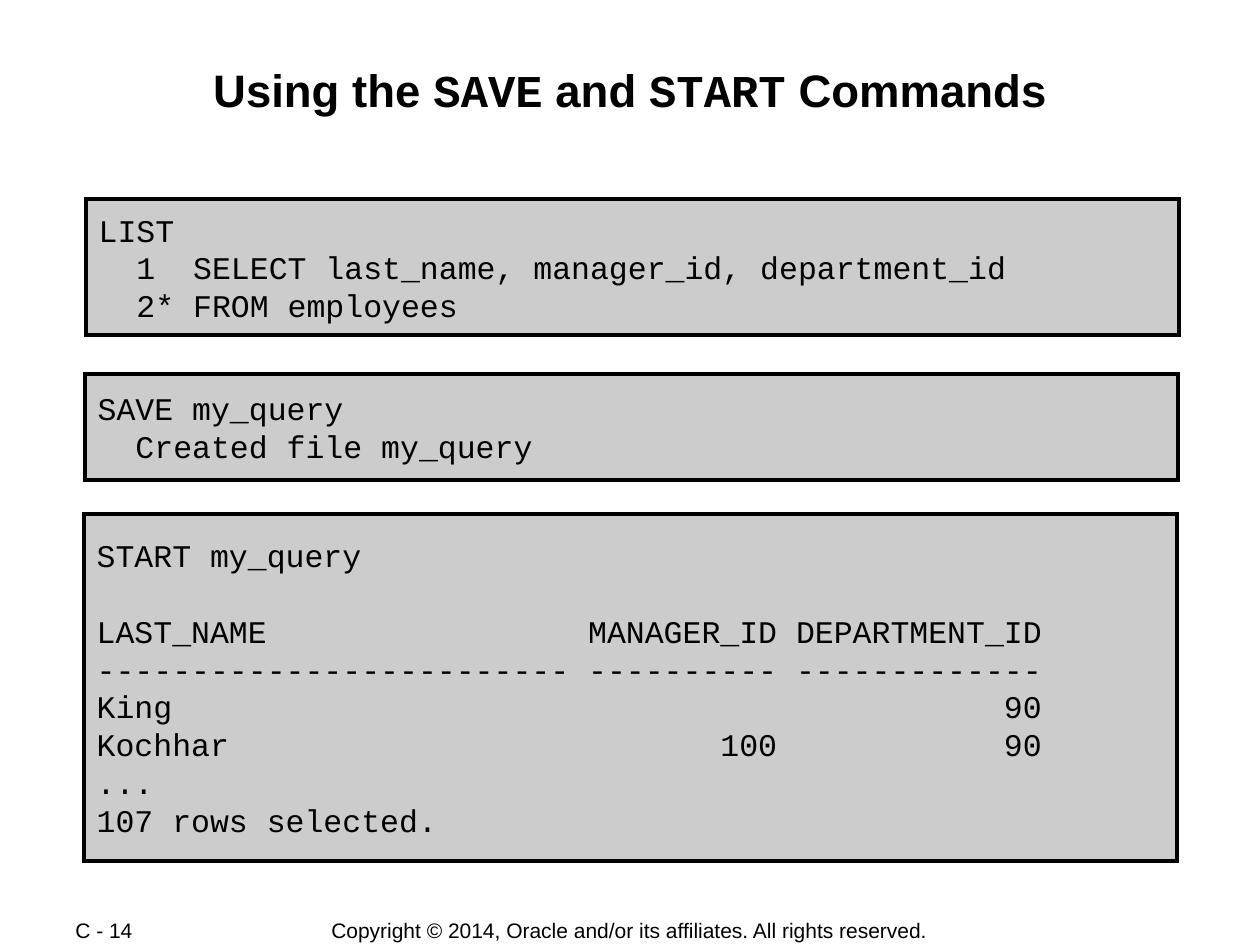
from lxml import etree
from pptx import Presentation
from pptx.dml.color import RGBColor
from pptx.enum.shapes import MSO_SHAPE
from pptx.enum.text import MSO_ANCHOR, PP_ALIGN
from pptx.oxml.ns import qn
from pptx.util import Cm, Pt

RECTANGLE = MSO_SHAPE.RECTANGLE
TOP, MIDDLE = MSO_ANCHOR.TOP, MSO_ANCHOR.MIDDLE
LEFT, CENTER = PP_ALIGN.LEFT, PP_ALIGN.CENTER
COLORS = {"text": "000000", "border": "000000", "panel": "CCCCCC"}
SANS, MONO = "Arial", "Courier New"


def add_run(paragraph, text, font_name, size, bold=False):
    run = paragraph.add_run()
    run.text = text
    run.font.name = font_name
    run.font.size = Pt(size)
    run.font.bold = bold
    run.font.color.rgb = RGBColor.from_string(COLORS["text"])


def set_frame(shape, anchor, side, top, bottom, wrap=True):
    """Set anchor, insets in centimetres and wrapping; return the text frame."""
    frame = shape.text_frame
    frame.word_wrap = wrap
    frame.vertical_anchor = anchor
    frame.margin_left = frame.margin_right = Cm(side)
    frame.margin_top, frame.margin_bottom = Cm(top), Cm(bottom)
    return frame


presentation = Presentation()
presentation.slide_width, presentation.slide_height = Cm(25.4), Cm(19.05)
slide = presentation.slides.add_slide(presentation.slide_layouts[6])

# Footer
footers = [
    (6.19, 13, CENTER, "Copyright © 2014, Oracle and/or its affiliates. All rights reserved."),
    (1.27, 2.69, LEFT, "C - 14"),
]
for left, width, alignment, text in footers:
    footer = slide.shapes.add_textbox(Cm(left), Cm(18.49), Cm(width), Cm(0.52))
    paragraph = set_frame(footer, MIDDLE, 0.25, 0.13, 0.13, wrap=False).paragraphs[0]
    paragraph.alignment = alignment
    add_run(paragraph, text, SANS, 12)

# Title
title = slide.shapes.add_textbox(Cm(1.7), Cm(1.22), Cm(22), Cm(2.44))
paragraph = set_frame(title, TOP, 0.03, 0.03, 0.03).paragraphs[0]
paragraph.alignment = CENTER
title_runs = [("Using the ", SANS), ("SAVE", MONO), (" and ", SANS),
              ("START", MONO), (" Commands", SANS)]
for text, font_name in title_runs:
    add_run(paragraph, text, font_name, 26, bold=True)

# Code panels: left, top, height, then groups of lines set one line apart
CODE_SIZE, LINE_PITCH = 18, 21.6
panels = [
    (1.74, 4.02, 2.74, [["LIST",
                         "  1  SELECT last_name, manager_id, department_id",
                         "  2* FROM employees"]]),
    (1.72, 7.54, 2.14, [["SAVE my_query",
                         "  Created file my_query"]]),
    (1.7, 10.37, 6.98, [["START my_query"],
                        ["LAST_NAME                 MANAGER_ID DEPARTMENT_ID",
                         "------------------------- ---------- -------------",
                         "King                                            90",
                         "Kochhar                          100            90",
                         "...",
                         "107 rows selected."]]),
]
for left, top, height, groups in panels:
    panel = slide.shapes.add_shape(RECTANGLE, Cm(left), Cm(top), Cm(22.02), Cm(height))
    panel.shadow.inherit = False
    panel.fill.solid()
    panel.fill.fore_color.rgb = RGBColor.from_string(COLORS["panel"])
    panel.line.color.rgb = RGBColor.from_string(COLORS["border"])
    panel.line.width = Pt(2.25)
    outline = panel.element.spPr.find(qn("a:ln"))
    etree.SubElement(outline, qn("a:miter"), lim="800000")  # square corners
    frame = set_frame(panel, MIDDLE, 0.25, 0.03, 0.03)
    paragraph = frame.paragraphs[0]
    for group_index, lines in enumerate(groups):
        for line_index, line in enumerate(lines):
            if group_index or line_index:
                paragraph = frame.add_paragraph()
            if group_index and not line_index:
                paragraph.space_before = Pt(LINE_PITCH)
            paragraph.alignment = LEFT
            paragraph.line_spacing = Pt(LINE_PITCH)
            add_run(paragraph, line, MONO, CODE_SIZE)

presentation.save("out.pptx")
